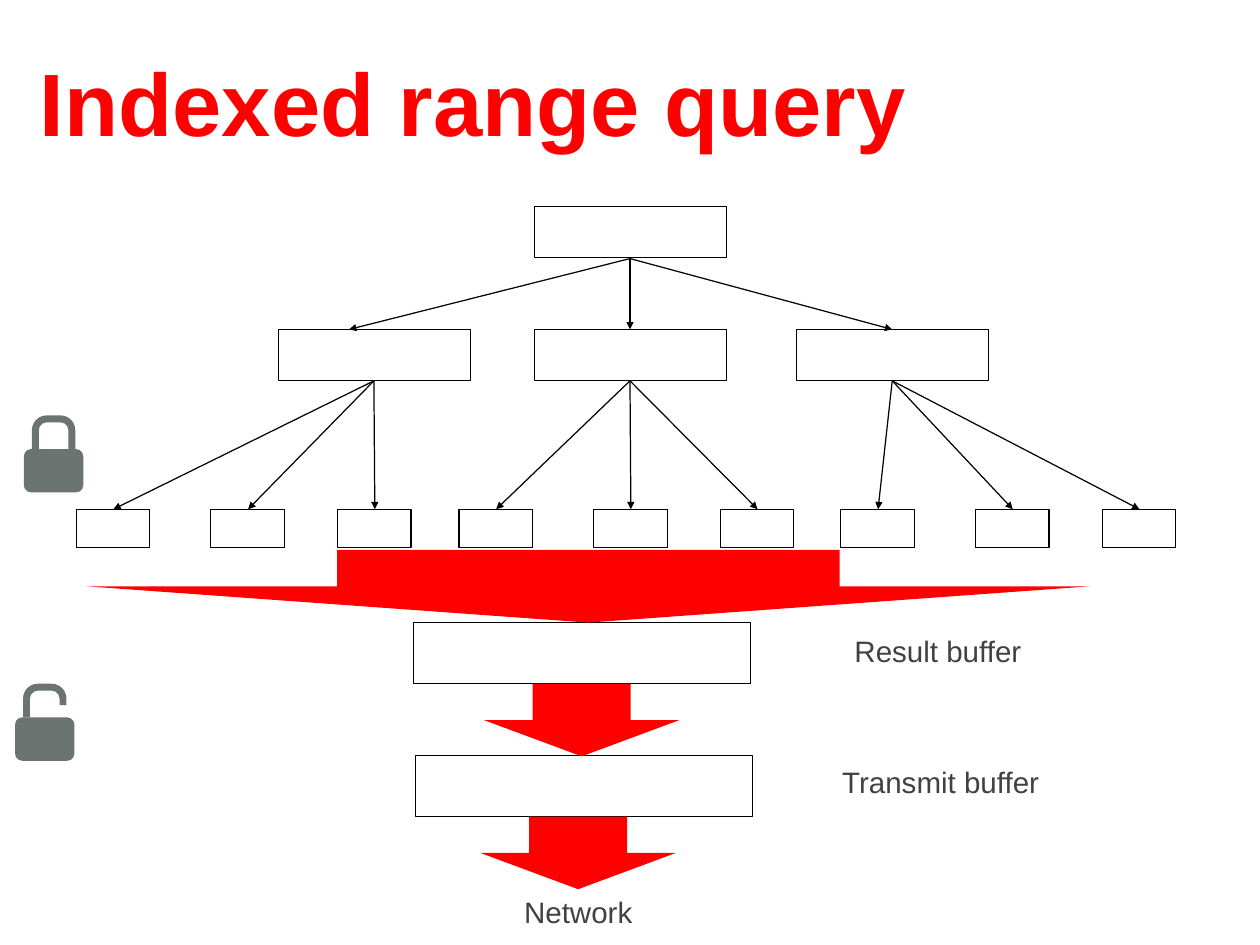
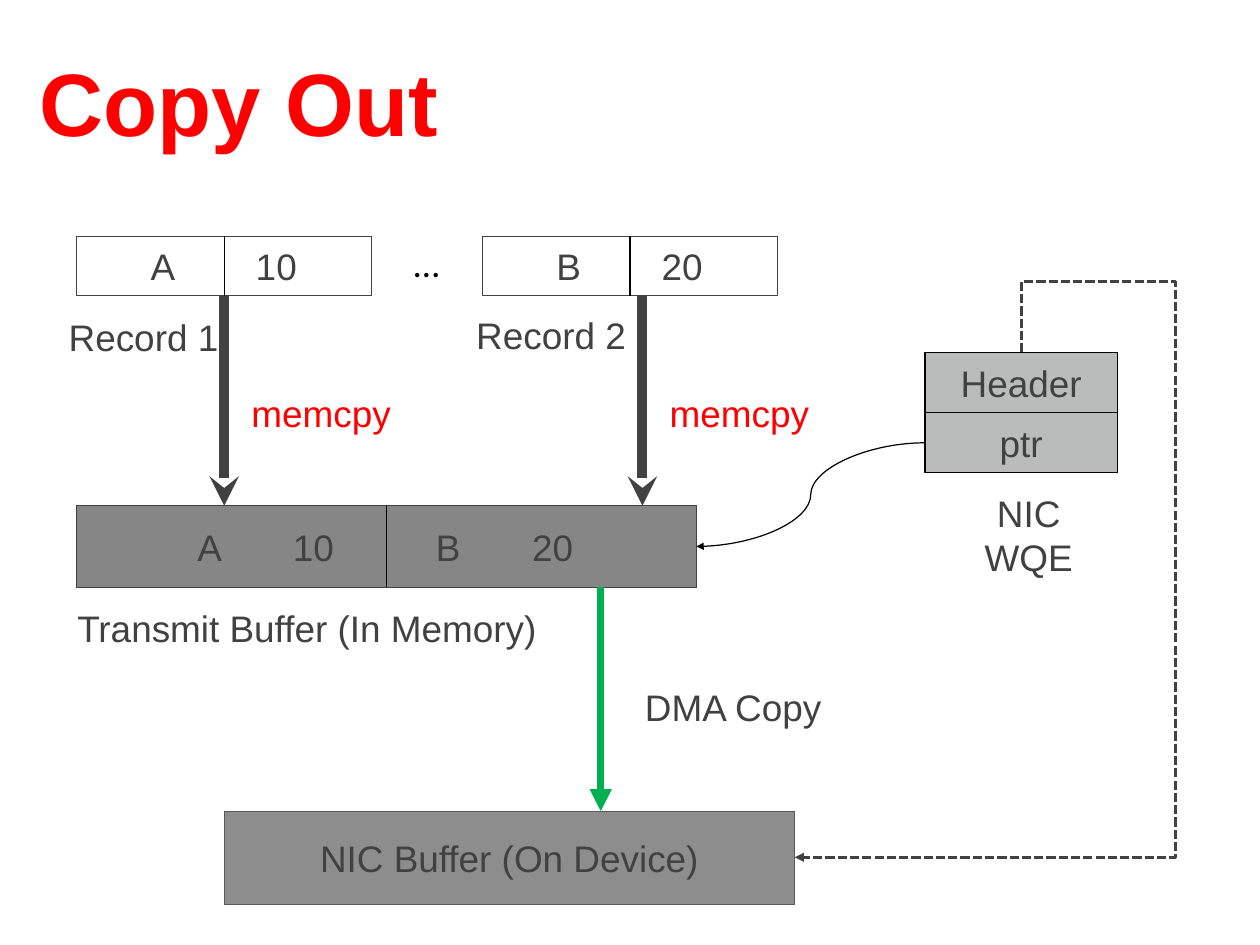
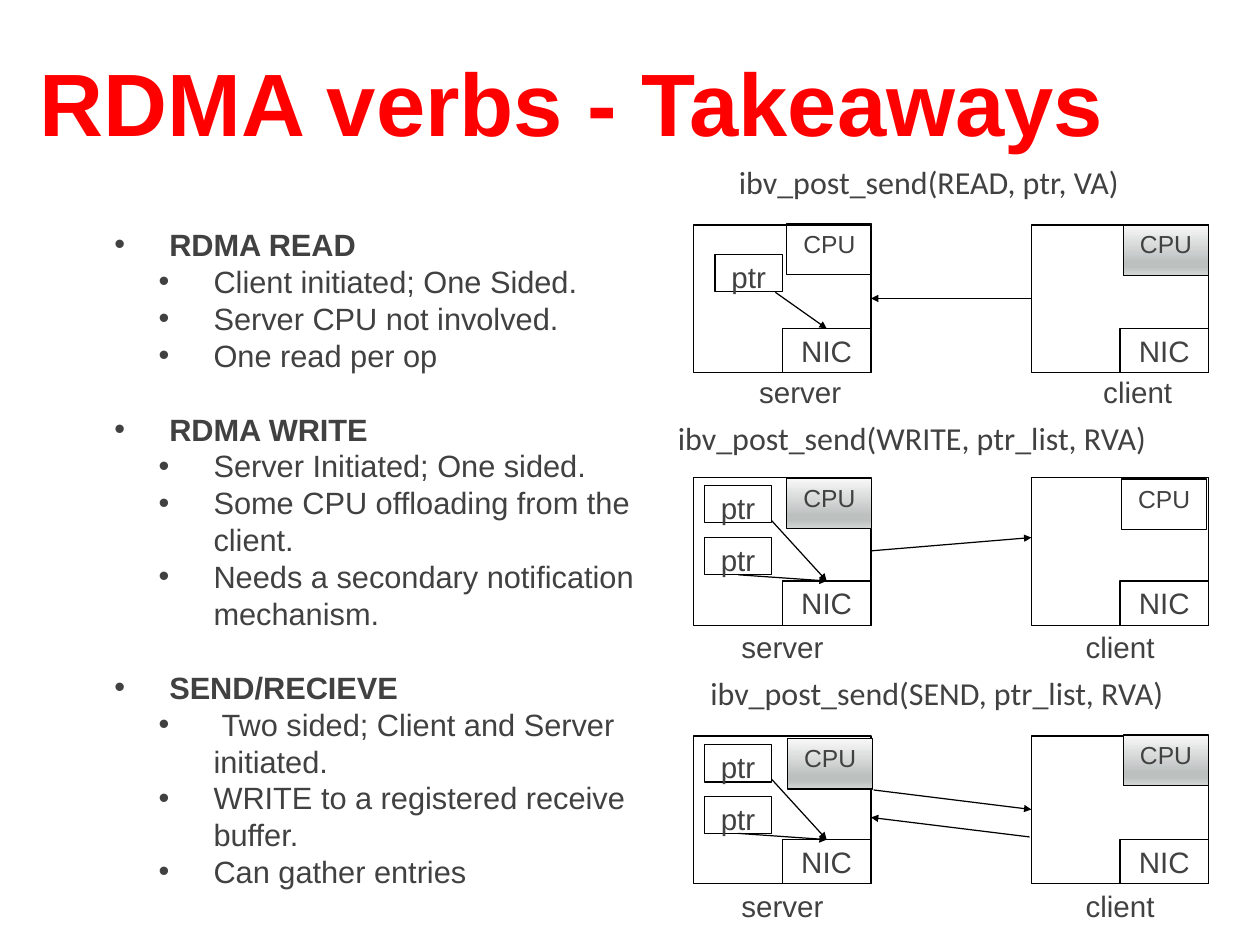
"""Builds three slides on index range queries, copy-out and RDMA verbs."""
import dataclasses

import lxml.etree
import pptx
import pptx.dml.color
import pptx.enum.dml
import pptx.enum.shapes
import pptx.enum.text
import pptx.oxml.ns
import pptx.util

Inches = pptx.util.Inches
Pt = pptx.util.Pt
qn = pptx.oxml.ns.qn
SHAPE = pptx.enum.shapes.MSO_SHAPE
CONNECTOR = pptx.enum.shapes.MSO_CONNECTOR
ALIGN = pptx.enum.text.PP_ALIGN
ANCHOR = pptx.enum.text.MSO_ANCHOR
AUTO_SIZE = pptx.enum.text.MSO_AUTO_SIZE


@dataclasses.dataclass(frozen=True)
class Theme:
    """Colours, fonts and type sizes of the deck."""
    accent: str = "FF0000"
    text: str = "414141"
    line: str = "000000"
    lock: str = "6C7472"
    memory: str = "868686"
    device: str = "8D8D8D"
    device_line: str = "595959"
    queue: str = "BABCBC"
    dma: str = "00B050"
    busy: tuple = ((0, "F8F8F8"), (74, "BCC1C0"), (83, "BCC1C0"), (100, "D3D6D5"))
    font: str = "Arial"
    code_font: str = "Calibri"
    title: int = 72
    large: int = 30
    code: int = 26
    body: int = 25
    label: int = 24
    small: int = 20
    leading: int = 30


T = Theme()


@dataclasses.dataclass(frozen=True)
class Panel:
    """One server and client exchange."""
    top: float
    call: str
    call_at: tuple
    names_at: tuple
    pointers: tuple
    pointer_arrows: tuple
    messages: tuple
    cpus: tuple


PANELS = (
    Panel(2.54, "ibv_post_send(READ, ptr, VA)", (7.36, 1.79), (8.03, 4.17),
          ((8.07, 2.87),), ((8.75, 3.3),),
          (((11.64, 3.37), (9.83, 3.37)),),
          ((8.88, 2.53, False), (12.68, 2.54, True))),
    Panel(5.39, "ibv_post_send(WRITE, ptr_list, RVA)", (7.17, 4.68), (7.83, 7.05),
          ((7.95, 5.48), (7.95, 6.07)), ((8.71, 5.88), (8.33, 6.49)),
          (((9.83, 6.22), (11.64, 6.07)),),
          ((8.88, 5.4, True), (12.66, 5.41, False))),
    Panel(8.31, "ibv_post_send(SEND, ptr_list, RVA)", (7.45, 7.56), (7.83, 9.98),
          ((7.95, 8.41), (7.95, 8.99)), ((8.71, 8.8), (8.33, 9.41)),
          (((9.86, 8.92), (11.64, 9.14)), ((11.62, 9.45), (9.83, 9.23))),
          ((8.89, 8.34, True), (12.68, 8.3, True))),
)

TAKEAWAYS = (
    ("RDMA READ", ("Client initiated; One Sided.", "Server CPU not involved.",
                   "One read per op")),
    ("RDMA WRITE", ("Server Initiated; One sided.",
                    "Some CPU offloading from the client.",
                    "Needs a secondary notification mechanism.")),
    ("SEND/RECIEVE", (" Two sided; Client and Server initiated.",
                      "WRITE to a registered receive buffer.",
                      "Can gather entries")),
)


def rgb(value):
    """Return a colour object for a hex string."""
    return pptx.dml.color.RGBColor.from_string(value)


def child(parent, tag, **attrs):
    """Append an XML child with attributes."""
    return lxml.etree.SubElement(parent, qn(tag), attrs)


def place(sp, left, top, width, height):
    """Move and size a shape in inches."""
    sp.left, sp.top = Inches(left), Inches(top)
    sp.width, sp.height = Inches(width), Inches(height)


def add_text(p, text, size, color=T.text, font=T.font, bold=False):
    """Add one formatted run to a paragraph."""
    r = p.add_run()
    r.text = text
    r.font.size, r.font.name, r.font.bold = Pt(size), font, bold
    r.font.color.rgb = rgb(color)


def add_slide(prs, layout, title):
    """Add a slide with the shared title style."""
    slide = prs.slides.add_slide(prs.slide_layouts[layout])
    sp = slide.shapes.title
    place(sp, 0.39, 0.42, 13.44, 1.38)
    tf = sp.text_frame
    tf.auto_size = AUTO_SIZE.NONE
    tf.vertical_anchor = ANCHOR.BOTTOM
    tf.margin_left = tf.margin_right = tf.margin_top = tf.margin_bottom = Inches(0.06)
    p = tf.paragraphs[0]
    p.alignment = ALIGN.LEFT
    add_text(p, title, T.title, T.accent, bold=True)
    return slide


def add_label(slide, text, at, size=T.label, color=T.text, font=T.font):
    """Add centred free text, one paragraph per line."""
    sp = slide.shapes.add_textbox(*map(Inches, at))
    tf = sp.text_frame
    tf.word_wrap = True
    for i, line in enumerate(text.split("\n")):
        p = tf.add_paragraph() if i else tf.paragraphs[0]
        p.alignment = ALIGN.CENTER
        add_text(p, line, size, color, font)


def add_shape(slide, kind, at, fill=None, line=None, width=1, adjust=()):
    """Add a preset shape with a plain fill and outline."""
    sp = slide.shapes.add_shape(kind, *map(Inches, at))
    sp.shadow.inherit = False
    for i, value in enumerate(adjust):
        sp.adjustments[i] = value
    if fill:
        sp.fill.solid()
        sp.fill.fore_color.rgb = rgb(fill)
    else:
        sp.fill.background()
    if line:
        sp.line.color.rgb = rgb(line)
        sp.line.width = Pt(width)
    else:
        sp.line.fill.background()
    return sp


def add_box(slide, at, text="", size=T.large, anchor=ANCHOR.MIDDLE,
            fill=None, line=T.line, width=1):
    """Add an outlined rectangle with centred text."""
    sp = add_shape(slide, SHAPE.RECTANGLE, at, fill, line, width)
    if text:
        tf = sp.text_frame
        tf.word_wrap = True
        tf.vertical_anchor = anchor
        p = tf.paragraphs[0]
        p.alignment = ALIGN.CENTER
        add_text(p, text, size)
    return sp


def add_fields(slide, at, fields, fill=None, width=1):
    """Add a memory block whose values stand on centred tab stops."""
    sp = add_box(slide, at, fill=fill, line=T.text, width=width)
    tf = sp.text_frame
    tf.vertical_anchor = ANCHOR.MIDDLE
    p = tf.paragraphs[0]
    p.alignment = ALIGN.LEFT
    tabs = child(p._p.get_or_add_pPr(), "a:tabLst")
    for text, stop in fields:
        child(tabs, "a:tab", pos=str(Inches(stop)), algn="ctr")
        add_text(p, "\t" + text, T.large)


def add_line(slide, start, end, color=T.line, width=1, arrow="triangle",
             kind=CONNECTOR.STRAIGHT, dash=None):
    """Add a connector, with an arrowhead at its end unless arrow is None."""
    c = slide.shapes.add_connector(kind, *map(Inches, (*start, *end)))
    c.line.color.rgb = rgb(color)
    c.line.width = Pt(width)
    if dash:
        c.line.dash_style = dash
    sp_pr = c._element.spPr
    if arrow:
        child(sp_pr.find(qn("a:ln")), "a:tailEnd", type=arrow)
    child(sp_pr, "a:effectLst")
    return c


def add_loop(slide):
    """Add the dashed route from the work queue header to the device buffer."""
    c = add_line(slide, (13.1, 8.11), (7.4, 5.55), T.text, 2.5,
                 kind=CONNECTOR.ELBOW, dash=pptx.enum.dml.MSO_LINE.SQUARE_DOT)
    sp_pr = c._element.spPr
    sp_pr.find(qn("a:xfrm")).set("rot", str(270 * 60000))
    geom = sp_pr.find(qn("a:prstGeom"))
    geom.set("prst", "bentConnector4")
    guides = geom.find(qn("a:avLst"))
    for name, value in (("adj1", -14100), ("adj2", -67800)):
        child(guides, "a:gd", name=name, fmla=f"val {value}")


def add_lock(slide, left, top, shackle):
    """Add a padlock whose last shackle adjustment opens or closes it."""
    add_shape(slide, SHAPE.ROUNDED_RECTANGLE, (left, top + 0.38, 0.67, 0.49), T.lock)
    add_shape(slide, SHAPE.U_TURN_ARROW, (left + 0.09, top, 0.49, 0.38), T.lock,
              adjust=(0.25, 0.103, 0, 0.438, shackle))


def add_cpu(slide, left, top, busy):
    """Add a CPU box, shaded when busy."""
    sp = add_box(slide, (left, top, 0.96, 0.57), "CPU", T.small, ANCHOR.TOP)
    if busy:
        sp.fill.gradient()
        sp.fill.gradient_angle = 270
        stops = next(sp._element.spPr.iter(qn("a:gsLst")))
        for stop in list(stops):
            stops.remove(stop)
        for percent, color in T.busy:
            gs = child(stops, "a:gs", pos=str(percent * 1000))
            child(gs, "a:srgbClr", val=color)


def add_takeaways(slide):
    """Fill the body placeholder with the two-level list."""
    sp = slide.placeholders[1]
    place(sp, 0.69, 2.5, 7.33, 7.9)
    tf = sp.text_frame
    tf.auto_size = AUTO_SIZE.NONE
    tf.vertical_anchor = ANCHOR.TOP
    items = [(level, text) for head, points in TAKEAWAYS
             for level, text in [(0, head), *((1, point) for point in points)]]
    for i, (level, text) in enumerate(items):
        p = tf.add_paragraph() if i else tf.paragraphs[0]
        p.level = level
        p.line_spacing = Pt(T.leading)
        p.space_before = Pt(T.leading if i and level == 0 else 0)
        p_pr = p._p.get_or_add_pPr()
        p_pr.set("marL", str(Inches(1.12 + 0.5 * level)))
        p_pr.set("indent", str(Inches(-0.62)))
        child(p_pr, "a:buFont", typeface=T.font)
        child(p_pr, "a:buChar", char="•")
        add_text(p, text, T.body, bold=level == 0)


def add_panel(slide, panel):
    """Draw a server and a client with their messages."""
    left, top = panel.names_at
    nic_top = panel.top + 1.17
    for i, name in enumerate(("server", "client")):
        shift = 3.81 * i
        add_box(slide, (7.83 + shift, panel.top, 2, 1.67))
        add_box(slide, (8.83 + shift, nic_top, 1, 0.5), "NIC", T.label, ANCHOR.TOP)
        add_label(slide, name, (left + shift, top, 2, 0.5))
    add_label(slide, panel.call, (*panel.call_at, 6.25, 0.54), T.code, font=T.code_font)
    for at in panel.pointers:
        add_box(slide, (*at, 0.76, 0.42), "ptr", T.label, ANCHOR.TOP)
    for start in panel.pointer_arrows:
        add_line(slide, start, (9.33, nic_top))
    for start, end in panel.messages:
        add_line(slide, start, end)
    for cpu in panel.cpus:
        add_cpu(slide, *cpu)


def build_range_query(prs):
    """Draw the index tree and the buffers below it."""
    slide = add_slide(prs, 5, "Indexed range query")
    add_lock(slide, 0.17, 7.72, 0.638)
    add_lock(slide, 0.27, 4.69, 1)
    add_box(slide, (6.03, 2.33, 2.17, 0.58))
    branches = ((3.14, 3.94, 0.86), (6.03, 7.11, 5.18), (8.99, 10.07, 9.49))
    for left, arrow_end, first_leaf in branches:
        add_box(slide, (left, 3.72, 2.17, 0.58))
        add_line(slide, (7.11, 2.92), (arrow_end, 3.72))
        for step in (0, 1.52, 2.95):
            leaf = first_leaf + step
            add_box(slide, (leaf, 5.75, 0.83, 0.43))
            add_line(slide, (left + 1.08, 4.3), (leaf + 0.42, 5.75))
    for at in ((4.67, 7.03), (4.69, 8.53)):
        add_box(slide, (*at, 3.8, 0.69))
    for left, top, width in ((0.97, 6.21, 11.34), (5.46, 7.72, 2.21), (5.42, 9.22, 2.21)):
        add_shape(slide, SHAPE.DOWN_ARROW, (left, top, width, 0.82), T.accent)
    for text, left, top in (("Result buffer", 8.96, 7.1),
                            ("Transmit buffer", 8.99, 8.58), ("Network", 4.9, 10.04)):
        add_label(slide, text, (left, top, 3.25, 0.5))


def build_copy_out(prs):
    """Draw records copied into the transmit buffer and on to the device."""
    slide = add_slide(prs, 5, "Copy Out")
    records = (("A", "10", 0.86, 2.53), ("B", "20", 5.44, 7.25))
    for key, value, left, copy_x in records:
        add_fields(slide, (left, 2.67, 3.33, 0.67), ((key, 0.88), (value, 2.16)), width=0.75)
        middle = left + 1.67
        add_line(slide, (middle, 2.67), (middle, 3.34), arrow=None)
        add_line(slide, (copy_x, 3.34), (copy_x, 5.71), T.text, 8, "stealth")
        add_label(slide, "memcpy", (copy_x + 0.04, 4.36, 2.11, 0.61), T.large, T.accent)
    add_label(slide, "…", (4.19, 2.67, 1.25, 0.61), T.large, T.line, T.code_font)
    add_fields(slide, (0.86, 5.71, 7, 0.92),
               (("A", 1.41), ("10", 2.58), ("B", 4.1), ("20", 5.28)), T.memory)
    add_line(slide, (4.36, 5.71), (4.36, 6.63), arrow=None)
    for i, text in enumerate(("Header", "ptr")):
        add_box(slide, (10.44, 3.98 + 0.68 * i, 2.17, 0.68), text, fill=T.queue)
    add_box(slide, (2.53, 9.16, 6.44, 1.05), "NIC Buffer (On Device)",
            fill=T.device, line=T.device_line)
    add_line(slide, (6.78, 6.63), (6.78, 9.16), T.dma, 6)
    add_line(slide, (10.44, 5), (7.86, 6.17), kind=CONNECTOR.CURVE)
    add_loop(slide)
    for text, at in (("Record 1", (0.62, 3.5, 2, 0.61)),
                     ("Record 2", (5.22, 3.48, 2, 0.61)),
                     ("Transmit Buffer (In Memory)", (0.69, 6.79, 5.55, 0.61)),
                     ("DMA Copy", (6.86, 7.68, 2.83, 0.61)),
                     ("NIC\nWQE", (10.61, 5.49, 2, 1.11))):
        add_label(slide, text, at, T.large)


def build_takeaways(prs):
    """Set the list beside the three exchanges."""
    slide = add_slide(prs, 1, "RDMA verbs - Takeaways")
    add_takeaways(slide)
    for panel in PANELS:
        add_panel(slide, panel)


def main():
    """Build and save the deck."""
    prs = pptx.Presentation()
    prs.slide_width, prs.slide_height = Inches(14.22), Inches(10.67)
    build_range_query(prs)
    build_copy_out(prs)
    build_takeaways(prs)
    prs.save("out.pptx")


if __name__ == "__main__":
    main()
